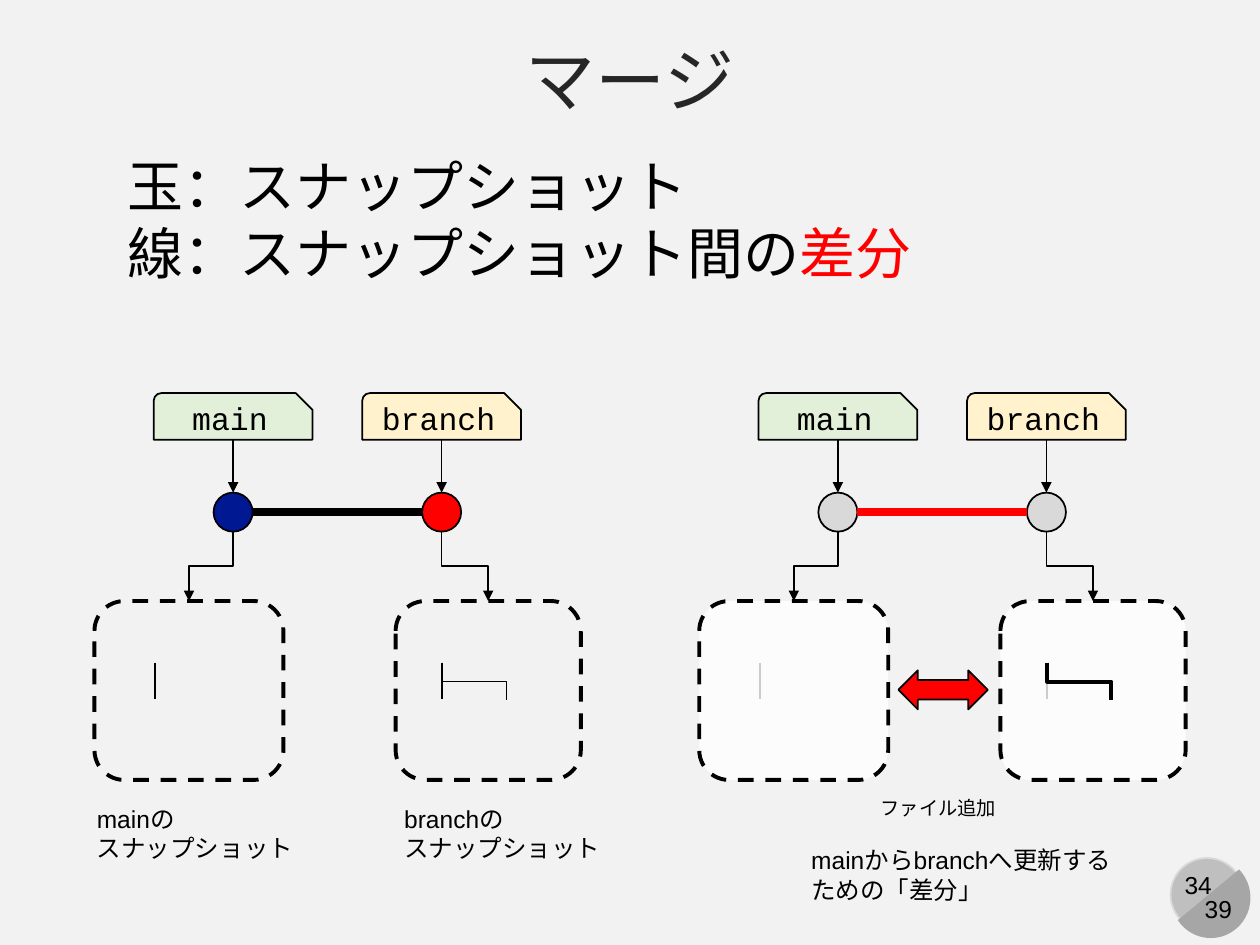
from typing import NamedTuple, Optional

from lxml.etree import SubElement
from pptx import Presentation
from pptx.dml.color import RGBColor
from pptx.enum.dml import MSO_LINE
from pptx.enum.shapes import MSO_CONNECTOR, MSO_SHAPE
from pptx.enum.text import MSO_ANCHOR, MSO_AUTO_SIZE, PP_ALIGN
from pptx.oxml.ns import qn
from pptx.util import Inches, Pt

BLACK, WHITE, RED, NAVY, GRAY = "000000", "FFFFFF", "FF0000", "011893", "D9D9D9"
UNIT = Inches(10) / 100  # the slide is a grid of 100 columns by 75 rows

TAG_ROW, TAG_WIDTH, TAG_HEIGHT = 31.2, 12.6, 3.7
BALL_ROW, BALL_SIZE = 39.1, 3.1
BOX_ROW, BOX_HEIGHT = 47.7, 14.2
FILE_ROW, FILE_HEIGHT = 52.6, 2.9


class Branch(NamedTuple):
    name: str
    tag_color: str
    center: float
    box_column: float
    box_width: float
    file_column: float


class Diagram(NamedTuple):
    column: float
    ball_colors: tuple
    link_color: str
    box_fill: Optional[str]
    change_weight: float


class Caption(NamedTuple):
    column: float
    row: float
    width: float
    height: float
    size: float
    lines: tuple  # each line is a tuple of (text, color) runs
    wrap: bool = False
    align: PP_ALIGN = PP_ALIGN.LEFT


BRANCHES = (
    Branch("main", "E2F0D9", 18.5, 7.5, 15, 12.3),
    Branch("branch", "FFF2CC", 35.05, 31.4, 14.7, 35.1),
)
DIAGRAMS = (
    Diagram(0, (NAVY, RED), BLACK, None, 1),
    Diagram(48, (GRAY, GRAY), RED, WHITE, 2.25),
)


def plain(*lines: str) -> tuple:
    return tuple(((line, BLACK),) for line in lines)


CAPTIONS = (
    Caption(6.7, 63.3, 17.7, 5.7, 14, plain("mainの", "スナップショット")),
    Caption(31.1, 63.3, 17.7, 5.7, 14, plain("branchの", "スナップショット")),
    Caption(68.9, 62.7, 11.3, 2.9, 11, plain("ファイル追加")),
    Caption(63.4, 66.6, 26.7, 5.7, 14,
            plain("mainからbranchへ更新する", "ための「差分」")),
    Caption(9.1, 11.5, 64.8, 11.8, 32,
            plain("玉：スナップショット")
            + ((("線：スナップショット間の", BLACK), ("差分", RED)),)),
    Caption(92.9, 68.6, 4.4, 3.4, 14, plain("34"), align=PP_ALIGN.CENTER),
    Caption(94, 70.5, 5.4, 3.4, 14, plain("39"), True, PP_ALIGN.CENTER),
)


def grid(*values: float) -> list:
    return [round(value * UNIT) for value in values]


def color(value: str) -> RGBColor:
    return RGBColor.from_string(value)


def apply(target, **values) -> None:
    for name, value in values.items():
        setattr(target, name, value)


def set_font(font, size: float, fill: str, name: str = "Arial") -> None:
    apply(font, name=name, size=Pt(size))
    font.color.rgb = color(fill)


def add_figure(slide, kind, column: float, row: float, width: float, height: float,
               fill: Optional[str], line: Optional[str] = BLACK, weight: float = 1):
    shape = slide.shapes.add_shape(kind, *grid(column, row, width, height))
    shape.shadow.inherit = False
    if fill:
        shape.fill.solid()
        shape.fill.fore_color.rgb = color(fill)
    else:
        shape.fill.background()
    if line:
        shape.line.color.rgb = color(line)
        shape.line.width = Pt(weight)
    else:
        shape.line.fill.background()
    return shape


def add_line(slide, start: tuple, end: tuple, weight: float = 1, line: str = BLACK,
             arrow: bool = False, kind=MSO_CONNECTOR.STRAIGHT):
    connector = slide.shapes.add_connector(kind, *grid(*start, *end))
    connector.line.color.rgb = color(line)
    connector.line.width = Pt(weight)
    properties = connector._element.spPr
    if arrow:
        SubElement(properties.find(qn("a:ln")), qn("a:tailEnd"), type="triangle")
    SubElement(properties, qn("a:effectLst"))
    return connector


def add_drop_elbow(slide, start: tuple, end: tuple, weight: float = 1,
                   arrow: bool = False) -> None:
    """Draw an elbow that leaves and arrives vertically, by turning a level one."""
    connector = add_line(slide, start, end, weight, arrow=arrow, kind=MSO_CONNECTOR.ELBOW)
    shift, drop = end[0] - start[0], end[1] - start[1]
    left, top, width, height = grid((start[0] + end[0] - drop) / 2,
                                    (start[1] + end[1] - abs(shift)) / 2,
                                    drop, abs(shift))
    apply(connector, left=left, top=top, width=width, height=height)
    transform = connector._element.spPr.find(qn("a:xfrm"))
    transform.attrib.pop("flipH", None)
    if shift < 0:
        transform.set("rot", str(90 * 60000))
    else:
        transform.set("rot", str(270 * 60000))
        transform.set("flipH", "1")


def add_tag(slide, branch: Branch, center: float) -> None:
    tag = add_figure(slide, MSO_SHAPE.SNIP_ROUND_RECTANGLE, center - TAG_WIDTH / 2,
                     TAG_ROW, TAG_WIDTH, TAG_HEIGHT, branch.tag_color)
    tag.adjustments[0], tag.adjustments[1] = 0.167, 0.359
    tag.text_frame.vertical_anchor = MSO_ANCHOR.MIDDLE
    paragraph = tag.text_frame.paragraphs[0]
    paragraph.text = branch.name
    paragraph.alignment = PP_ALIGN.CENTER
    set_font(paragraph.font, 18, BLACK, "Courier New")


def add_snapshot_box(slide, column: float, width: float, fill: Optional[str]) -> None:
    box = add_figure(slide, MSO_SHAPE.ROUNDED_RECTANGLE, column, BOX_ROW, width,
                     BOX_HEIGHT, fill, weight=2.25)
    box.line.dash_style = MSO_LINE.DASH
    if fill:
        SubElement(box.fill._xPr.find(qn("a:solidFill"))[0], qn("a:alpha"), val="80000")


def add_diagram(slide, diagram: Diagram) -> None:
    ball_bottom = BALL_ROW + BALL_SIZE
    for branch, ball_color in zip(BRANCHES, diagram.ball_colors):
        center = diagram.column + branch.center
        box_column = diagram.column + branch.box_column
        file_column = diagram.column + branch.file_column
        add_tag(slide, branch, center)
        add_figure(slide, MSO_SHAPE.OVAL, center - BALL_SIZE / 2, BALL_ROW,
                   BALL_SIZE, BALL_SIZE, ball_color)
        add_line(slide, (center, TAG_ROW + TAG_HEIGHT), (center, BALL_ROW), arrow=True)
        add_drop_elbow(slide, (center, ball_bottom),
                       (box_column + branch.box_width / 2, BOX_ROW), arrow=True)
        add_line(slide, (file_column, FILE_ROW), (file_column, FILE_ROW + FILE_HEIGHT))
        add_snapshot_box(slide, box_column, branch.box_width, diagram.box_fill)

    first, last = (diagram.column + branch.center for branch in BRANCHES)
    link_row = BALL_ROW + BALL_SIZE / 2
    add_line(slide, (first + BALL_SIZE / 2, link_row), (last - BALL_SIZE / 2, link_row),
             4.5, diagram.link_color)
    change_column = diagram.column + BRANCHES[-1].file_column
    add_drop_elbow(slide, (change_column, FILE_ROW), (change_column + 5.1, FILE_ROW + 3),
                   diagram.change_weight)


def add_caption(slide, caption: Caption) -> None:
    frame = slide.shapes.add_textbox(*grid(*caption[:4])).text_frame
    apply(frame, word_wrap=caption.wrap, auto_size=MSO_AUTO_SIZE.SHAPE_TO_FIT_TEXT)
    for index, runs in enumerate(caption.lines):
        paragraph = frame.add_paragraph() if index else frame.paragraphs[0]
        paragraph.alignment = caption.align
        for text, fill in runs:
            run = paragraph.add_run()
            run.text = text
            set_font(run.font, caption.size, fill)


def add_title(slide, text: str) -> None:
    title = slide.shapes.title
    left, top, width, height = grid(0, 2.1, 100, 8.2)
    apply(title, left=left, top=top, width=width, height=height, text=text)
    title.text_frame.vertical_anchor = MSO_ANCHOR.MIDDLE
    paragraph = title.text_frame.paragraphs[0]
    paragraph.alignment = PP_ALIGN.CENTER
    set_font(paragraph.font, 40, "262626")


def add_page_badge(slide) -> None:
    add_figure(slide, MSO_SHAPE.OVAL, 92.9, 68.1, 5.8, 5.8, "BFBFBF", GRAY)
    half = add_figure(slide, MSO_SHAPE.CHORD, 92.9, 68.1, 6.4, 6.3, "A6A6A6", None)
    half.rotation = 270
    half.adjustments[0], half.adjustments[1] = 27, 141.42


def main() -> None:
    presentation = Presentation()
    apply(presentation, slide_width=Inches(10), slide_height=Inches(7.5))
    slide = presentation.slides.add_slide(presentation.slide_layouts[5])
    slide.background.fill.solid()
    slide.background.fill.fore_color.rgb = color("F2F2F2")
    add_title(slide, "マージ")
    add_page_badge(slide)
    for diagram in DIAGRAMS:
        add_diagram(slide, diagram)
    add_figure(slide, MSO_SHAPE.LEFT_RIGHT_ARROW, 71.3, 53.2, 7.1, 3.1, RED)
    for caption in CAPTIONS:
        add_caption(slide, caption)
    presentation.save("out.pptx")


if __name__ == "__main__":
    main()
